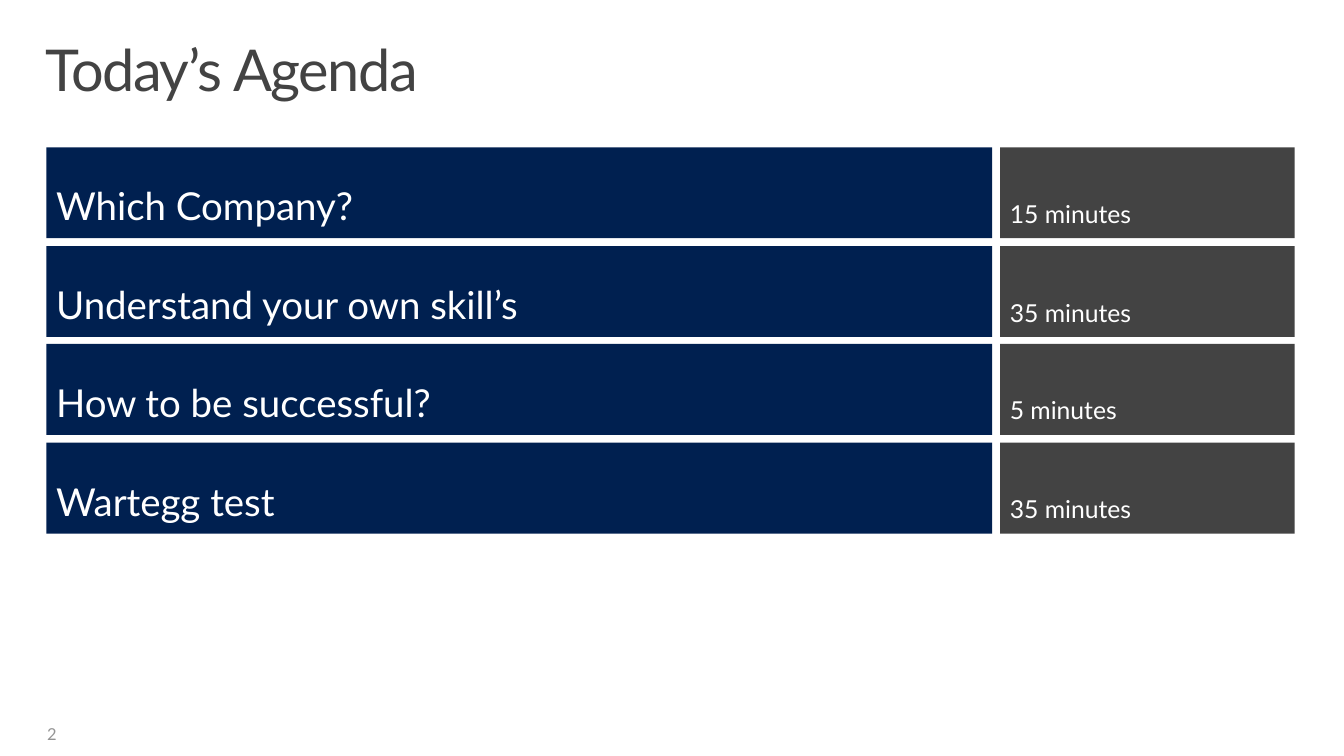
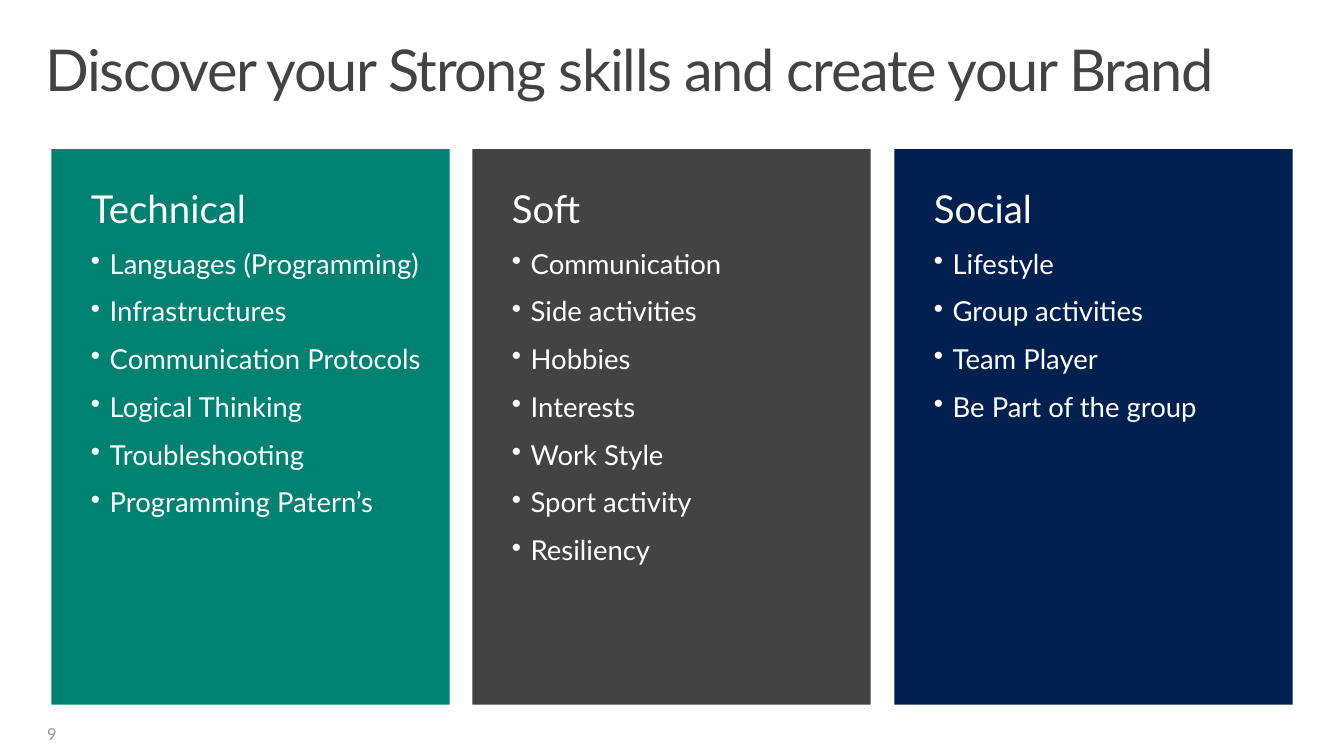
import pptx
import pptx.util
import pptx.dml.color
import pptx.enum.shapes
import pptx.enum.text
import pptx.oxml.ns
import lxml.etree

PX = 9144
FONT = "Lato"
NAVY, GRAY, TEAL = "002050", "434343", "008272"
WHITE, PALE = "FFFFFF", "949494"
ANCHOR = pptx.enum.text.MSO_ANCHOR


def px(n):
    return pptx.util.Emu(n * PX)


def color(code):
    return pptx.dml.color.RGBColor.from_string(code)


def setup(frame, anchor, inset):
    frame.word_wrap = True
    frame.auto_size = pptx.enum.text.MSO_AUTO_SIZE.NONE
    frame.vertical_anchor = anchor
    frame.margin_left, frame.margin_top, frame.margin_right, frame.margin_bottom = map(px, inset)


def write(frame, text, size, ink=WHITE, line=1.0, after=0, track=None, bullet=False):
    para = frame.add_paragraph() if frame.text else frame.paragraphs[0]
    para.alignment = pptx.enum.text.PP_ALIGN.LEFT
    para.line_spacing = line
    para.space_before = pptx.util.Pt(0)
    para.space_after = pptx.util.Pt(after)
    run = para.add_run()
    run.text = text
    run.font.name = FONT
    run.font.size = pptx.util.Pt(size)
    run.font.color.rgb = color(ink)
    if track is not None:
        run.font._element.set("spc", str(track * 100))
    if bullet:
        props = para._p.get_or_add_pPr()
        props.set("marL", str(px(19)))
        props.set("indent", str(px(-19)))
        tag = pptx.oxml.ns.qn("a:buChar")
        lxml.etree.SubElement(props, tag).set("char", "•")


def block(slide, box, fill, anchor, inset):
    kind = pptx.enum.shapes.MSO_SHAPE.RECTANGLE
    shape = slide.shapes.add_shape(kind, *map(px, box))
    shape.shadow.inherit = False
    shape.fill.solid()
    shape.fill.fore_color.rgb = color(fill)
    shape.line.fill.background()
    setup(shape.text_frame, anchor, inset)
    return shape.text_frame


def page(deck, title, number):
    slide = deck.slides.add_slide(deck.slide_layouts[5])
    head = slide.shapes.title
    head.left, head.top, head.width, head.height = map(px, (30, 32, 1300, 100))
    setup(head.text_frame, ANCHOR.TOP, (16, 10, 16, 10))
    write(head.text_frame, title, 42, ink=GRAY, line=0.9, track=-1)
    foot = slide.shapes.add_textbox(*map(px, (38, 722, 317, 41)))
    setup(foot.text_frame, ANCHOR.MIDDLE, (10, 5, 10, 5))
    write(foot.text_frame, number, 12, ink=PALE)
    return slide


def agenda(slide, box, rows):
    left, top, width, height = box
    tall, main, side = 92, 957, 298
    step = (height - tall) / (len(rows) - 1)
    for i, (topic, time) in enumerate(rows):
        y = top + round(i * step)
        cells = (
            (left, main, NAVY, topic, 28),
            (left + width - side, side, GRAY, time, 18),
        )
        for x, wide, fill, text, size in cells:
            frame = block(slide, (x, y, wide, tall), fill, ANCHOR.BOTTOM, (10, 0, 10, 10))
            write(frame, text, size)


def panels(slide, box, groups):
    left, top, width, height = box
    wide = 403
    step = (width - wide) / (len(groups) - 1)
    for i, (name, fill, items) in enumerate(groups):
        spot = (left + round(i * step), top, wide, height)
        frame = block(slide, spot, fill, ANCHOR.TOP, (40, 40, 15, 12))
        write(frame, name, 28, line=0.95, after=12)
        for item in items:
            write(frame, item, 20, line=0.95, after=12, bullet=True)


def main():
    deck = pptx.Presentation()
    deck.slide_width, deck.slide_height = px(1360), px(765)

    slide = page(deck, "Today’s Agenda", "2")
    agenda(slide, (47, 149, 1263, 391), [
        ("Which Company?", "15 minutes"),
        ("Understand your own skill’s", "35 minutes"),
        ("How to be successful?", "5 minutes"),
        ("Wartegg test", "35 minutes"),
    ])

    slide = page(deck, "Discover your Strong skills and create your Brand", "9")
    panels(slide, (52, 151, 1256, 562), [
        ("Technical", TEAL, [
            "Languages (Programming)", "Infrastructures", "Communication Protocols",
            "Logical Thinking", "Troubleshooting", "Programming Patern’s",
        ]),
        ("Soft", GRAY, [
            "Communication", "Side activities", "Hobbies", "Interests",
            "Work Style", "Sport activity", "Resiliency",
        ]),
        ("Social", NAVY, [
            "Lifestyle", "Group activities", "Team Player", "Be Part of the group",
        ]),
    ])

    deck.save("out.pptx")


if __name__ == "__main__":
    main()
